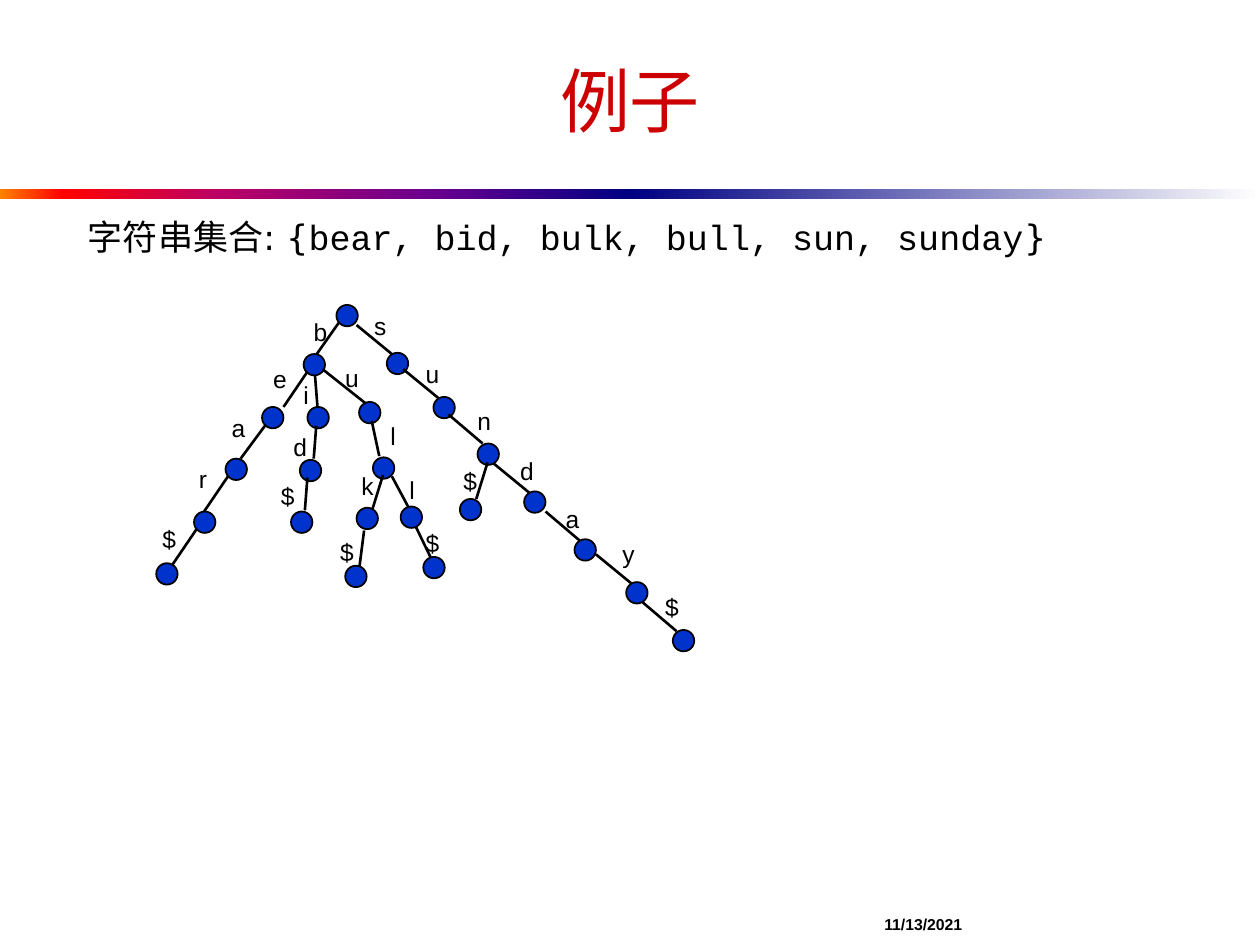
"""Build a slide that shows a trie for a small set of strings."""
from dataclasses import dataclass

from lxml.etree import SubElement
from pptx import Presentation
from pptx.dml.color import RGBColor
from pptx.enum.shapes import MSO_CONNECTOR as Connector, MSO_SHAPE as Shape
from pptx.enum.text import MSO_ANCHOR as Anchor, PP_ALIGN as Align
from pptx.oxml.ns import qn
from pptx.util import Pt

EMU_PER_PX = 9144


@dataclass(frozen=True)
class Theme:
    black: str = "000000"
    title: str = "CC0000"
    node: str = "0033CC"
    bar_left: tuple = ((0, "FF8200"), (10, "FF0000"), (35, "BA0066"),
                       (70, "66008F"), (100, "000082"))
    bar_right: tuple = ((0, "000082"), (100, "FFFFFF"))
    title_size: int = 40
    body_size: int = 20
    label_size: int = 14
    date_size: int = 9
    sans: str = "Arial"
    wide: str = "DejaVu Sans"
    mono: str = "Courier New"


def px(length):
    return length * EMU_PER_PX


def rgb(code):
    return RGBColor.from_string(code)


def add_text(para, text, *, font, size, color, bold=False):
    span = para.add_run()
    span.text = text
    span.font.name = font
    span.font.size = Pt(size)
    span.font.bold = bold
    span.font.color.rgb = rgb(color)


class Painter:
    def __init__(self, page, theme):
        self.page = page
        self.theme = theme

    def shape(self, kind, left, top, width, height):
        shape = self.page.shapes.add_shape(kind, px(left), px(top), px(width), px(height))
        shape.shadow.inherit = False
        return shape

    def bar(self, left, top, width, height, stops):
        bar = self.shape(Shape.RECTANGLE, left, top, width, height)
        bar.line.fill.background()
        bar.fill.gradient()
        bar.fill.gradient_angle = 0
        stop_list = next(bar._element.iter(qn("a:gsLst")))
        for old in list(stop_list):
            stop_list.remove(old)
        for percent, color in stops:
            stop = SubElement(stop_list, qn("a:gs"), pos=str(percent * 1000))
            SubElement(stop, qn("a:srgbClr"), val=color)

    def node(self, left, top):
        node = self.shape(Shape.OVAL, left, top, 17, 17)
        node.fill.solid()
        node.fill.fore_color.rgb = rgb(self.theme.node)
        node.line.color.rgb = rgb(self.theme.black)
        node.line.width = Pt(1)

    def edge(self, start, end):
        edge = self.page.shapes.add_connector(
            Connector.STRAIGHT, *map(px, start), *map(px, end))
        edge.line.color.rgb = rgb(self.theme.black)
        edge.line.width = Pt(1.5)
        SubElement(edge._element.spPr, qn("a:effectLst"))

    def text(self, left, top, width, height, spans, *, size, color=None, bold=False,
             align=Align.LEFT, anchor=Anchor.TOP, wrap=True):
        box = self.page.shapes.add_textbox(px(left), px(top), px(width), px(height))
        frame = box.text_frame
        frame.word_wrap = wrap
        frame.vertical_anchor = anchor
        para = frame.paragraphs[0]
        para.alignment = align
        for text, font in spans:
            add_text(para, text, font=font, size=size,
                     color=color or self.theme.black, bold=bold)


ROOT = (267, 242)
# Each branch: letter, letter position, edge start, edge end, child node position.
BRANCHES = [
    ("b", (239, 247), (269, 256), (250, 283), (241, 281)),
    ("e", (207, 284), (244, 295), (225, 323), (208, 323)),
    ("a", (174, 323), (211, 337), (191, 364), (179, 364)),
    ("r", (148, 363), (181, 378), (162, 406), (154, 406)),
    ("$", (119, 411), (156, 420), (137, 448), (124, 447)),
    ("s", (287, 242), (283, 258), (311, 281), (307, 280)),
    ("u", (328, 280), (320, 293), (348, 316), (344, 315)),
    ("n", (369, 317), (356, 329), (383, 352), (379, 352)),
    ("d", (403, 357), (392, 368), (420, 391), (416, 390)),
    ("a", (439, 395), (433, 406), (460, 429), (456, 428)),
    ("y", (484, 423), (473, 440), (501, 463), (497, 462)),
    ("$", (518, 465), (510, 478), (537, 501), (534, 500)),
    ("i", (231, 297), (250, 298), (252, 323), (244, 323)),
    ("u", (264, 283), (256, 293), (290, 320), (285, 319)),
    ("d", (223, 338), (251, 338), (249, 364), (238, 365)),
    ("$", (213, 377), (244, 379), (242, 405), (231, 406)),
    ("l", (300, 329), (295, 334), (301, 362), (296, 363)),
    ("k", (277, 369), (304, 377), (295, 406), (283, 403)),
    ("$", (260, 421), (289, 421), (285, 452), (274, 449)),
    ("l", (315, 372), (311, 378), (326, 406), (318, 402)),
    ("$", (328, 414), (330, 418), (344, 447), (336, 442)),
    ("$", (358, 365), (387, 367), (378, 396), (365, 396)),
]


def main():
    deck = Presentation()
    deck.slide_width, deck.slide_height = px(1000), px(750)
    theme = Theme()
    painter = Painter(deck.slides.add_slide(deck.slide_layouts[6]), theme)

    painter.bar(0, 150, 500, 8, theme.bar_left)
    painter.bar(500, 150, 500, 8, theme.bar_right)
    painter.text(50, 25, 900, 108, [("例子", theme.sans)], size=theme.title_size,
                 color=theme.title, align=Align.CENTER, anchor=Anchor.MIDDLE)
    painter.text(692, 717, 100, 33, [("11/13/2021", theme.sans)], size=theme.date_size,
                 bold=True, anchor=Anchor.MIDDLE, wrap=False)

    painter.node(*ROOT)
    for _, _, start, end, child in BRANCHES:
        painter.edge(start, end)
        painter.node(*child)
    for letter, place, *_ in BRANCHES:
        painter.text(*place, 31, 34, [(letter, theme.sans)], size=theme.label_size)

    words = [("字符串集合: {", theme.wide),
             ("bear, bid, bulk, bull, sun, sunday", theme.mono),
             ("}", theme.wide)]
    painter.text(60, 166, 827, 84, words, size=theme.body_size, wrap=False)
    deck.save("out.pptx")


if __name__ == "__main__":
    main()
